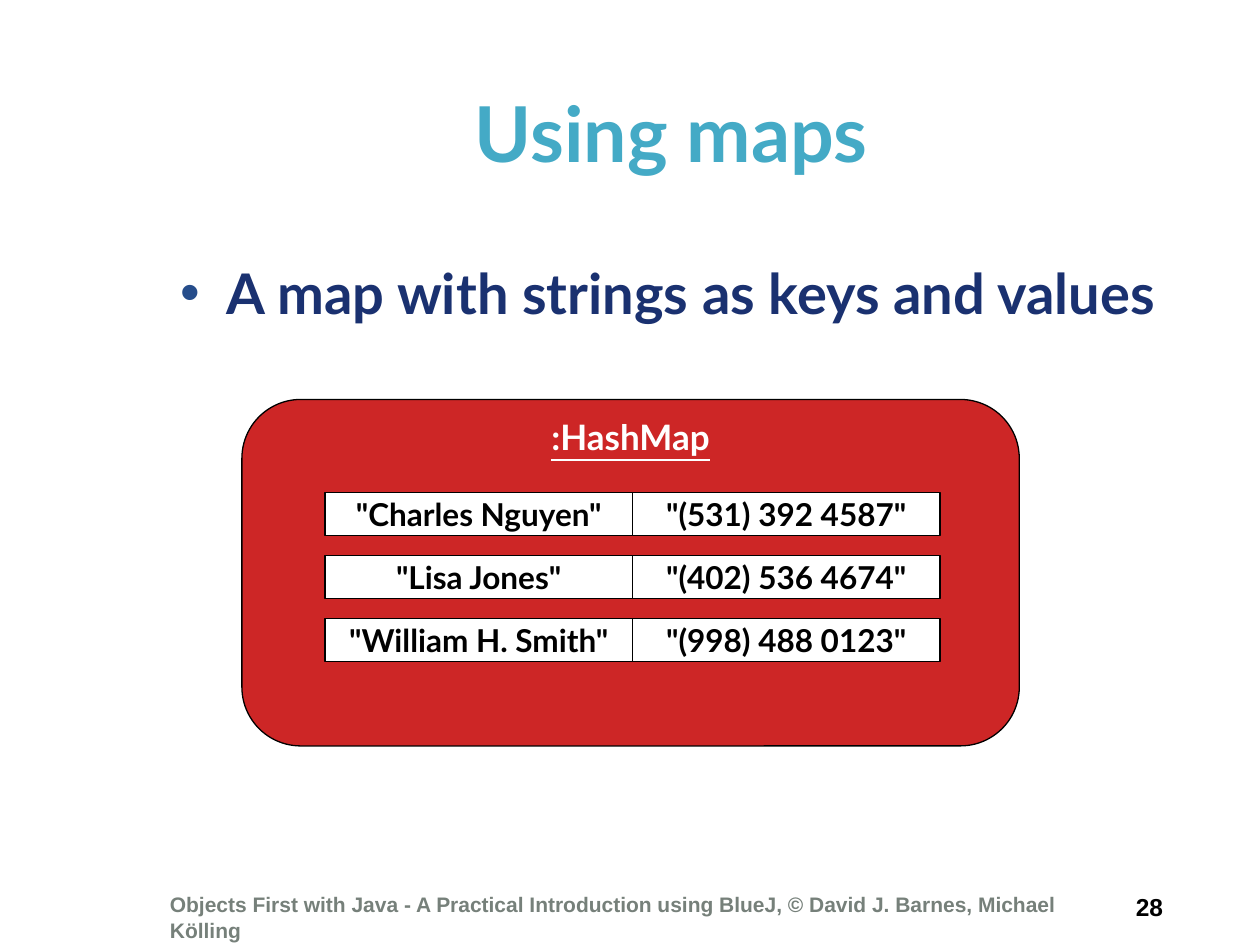
from lxml import etree
from pptx import Presentation
from pptx.dml.color import RGBColor
from pptx.enum.shapes import MSO_SHAPE
from pptx.enum.text import MSO_ANCHOR, MSO_AUTO_SIZE, PP_ALIGN
from pptx.oxml.ns import qn
from pptx.util import Inches, Pt

LEFT, CENTER, RIGHT = PP_ALIGN.LEFT, PP_ALIGN.CENTER, PP_ALIGN.RIGHT
TOP, MIDDLE = MSO_ANCHOR.TOP, MSO_ANCHOR.MIDDLE
NO_AUTOFIT = MSO_AUTO_SIZE.NONE
RECTANGLE, ROUNDED = MSO_SHAPE.RECTANGLE, MSO_SHAPE.ROUNDED_RECTANGLE

BLACK = RGBColor(0x00, 0x00, 0x00)
WHITE = RGBColor(0xFF, 0xFF, 0xFF)
TEAL = RGBColor(0x44, 0xAA, 0xC6)
NAVY = RGBColor(0x1A, 0x31, 0x70)
GRAY = RGBColor(0x76, 0x80, 0x7A)
RED = RGBColor(0xCD, 0x26, 0x26)
BULLET_BLUE = "264D8B"


def write(holder, text, size, color, font="Lato", align=LEFT, anchor=TOP, wrap=True):
    frame = holder.text_frame
    frame.auto_size = NO_AUTOFIT
    frame.word_wrap = wrap
    frame.vertical_anchor = anchor
    paragraph = frame.paragraphs[0]
    paragraph.alignment = align
    paragraph.space_before = Pt(0)
    run = paragraph.add_run()
    run.text = text
    run.font.size = Pt(size)
    run.font.name = font
    run.font.bold = True
    run.font.color.rgb = color
    return paragraph


def add_box(preset, left, top, width, height, fill, line_width):
    box = slide.shapes.add_shape(preset, Inches(left), Inches(top), Inches(width), Inches(height))
    box.shadow.inherit = False
    box.fill.solid()
    box.fill.fore_color.rgb = fill
    box.line.color.rgb = BLACK
    box.line.width = Pt(line_width)
    return box


prs = Presentation()
prs.slide_width = Inches(10)
prs.slide_height = Inches(7.5)
slide = prs.slides.add_slide(prs.slide_layouts[1])

title = slide.shapes.title
title.left, title.top = Inches(1.08), Inches(0.42)
title.width, title.height = Inches(8.5), Inches(1.25)
write(title, "Using maps", 44, TEAL, align=CENTER, anchor=MIDDLE)

body = slide.placeholders[1]
body.left, body.top = Inches(1.33), Inches(2)
body.width, body.height = Inches(8.17), Inches(0.78)
statement = write(body, "A map with strings as keys and values", 32, NAVY)
properties = statement._p.get_or_add_pPr()
properties.set("marL", str(Inches(0.37)))
properties.set("indent", str(-Inches(0.37)))
bullet_color = etree.SubElement(properties, qn("a:buClr"))
etree.SubElement(bullet_color, qn("a:srgbClr"), val=BULLET_BLUE)
etree.SubElement(properties, qn("a:buFont"), typeface="Arial")
etree.SubElement(properties, qn("a:buChar"), char="•")

page_number = slide.shapes.add_textbox(Inches(8.75), Inches(7.03), Inches(0.58), Inches(0.33))
write(page_number, "28", 14, BLACK, font="Arial", align=RIGHT)

footer = slide.shapes.add_textbox(Inches(1.25), Inches(7.03), Inches(7.58), Inches(0.33))
write(
    footer,
    "Objects First with Java - A Practical Introduction using BlueJ, "
    "© David J. Barnes, Michael Kölling",
    12, GRAY, font="Arial",
)

hash_map = add_box(ROUNDED, 1.92, 3.17, 6.17, 2.75, RED, 0.75)
hash_map.adjustments[0] = 0.17

map_label = slide.shapes.add_textbox(Inches(1.92), Inches(3.25), Inches(6.17), Inches(0.43))
label = write(map_label, ":HashMap", 20, WHITE, align=CENTER)
label.runs[0].font.underline = True

entries = [
    ('"Charles Nguyen"', '"(531) 392 4587"'),
    ('"Lisa Jones"', '"(402) 536 4674"'),
    ('"William H. Smith"', '"(998) 488 0123"'),
]
CELL_WIDTH, CELL_HEIGHT, ROW_PITCH = 2.44, 0.34, 0.5
for row, entry in enumerate(entries):
    for column, text in enumerate(entry):
        cell = add_box(RECTANGLE, 2.58 + column * CELL_WIDTH, 3.91 + row * ROW_PITCH,
                       CELL_WIDTH, CELL_HEIGHT, WHITE, 1)
        write(cell, text, 18, BLACK, align=CENTER, anchor=MIDDLE, wrap=False)

prs.save("out.pptx")
